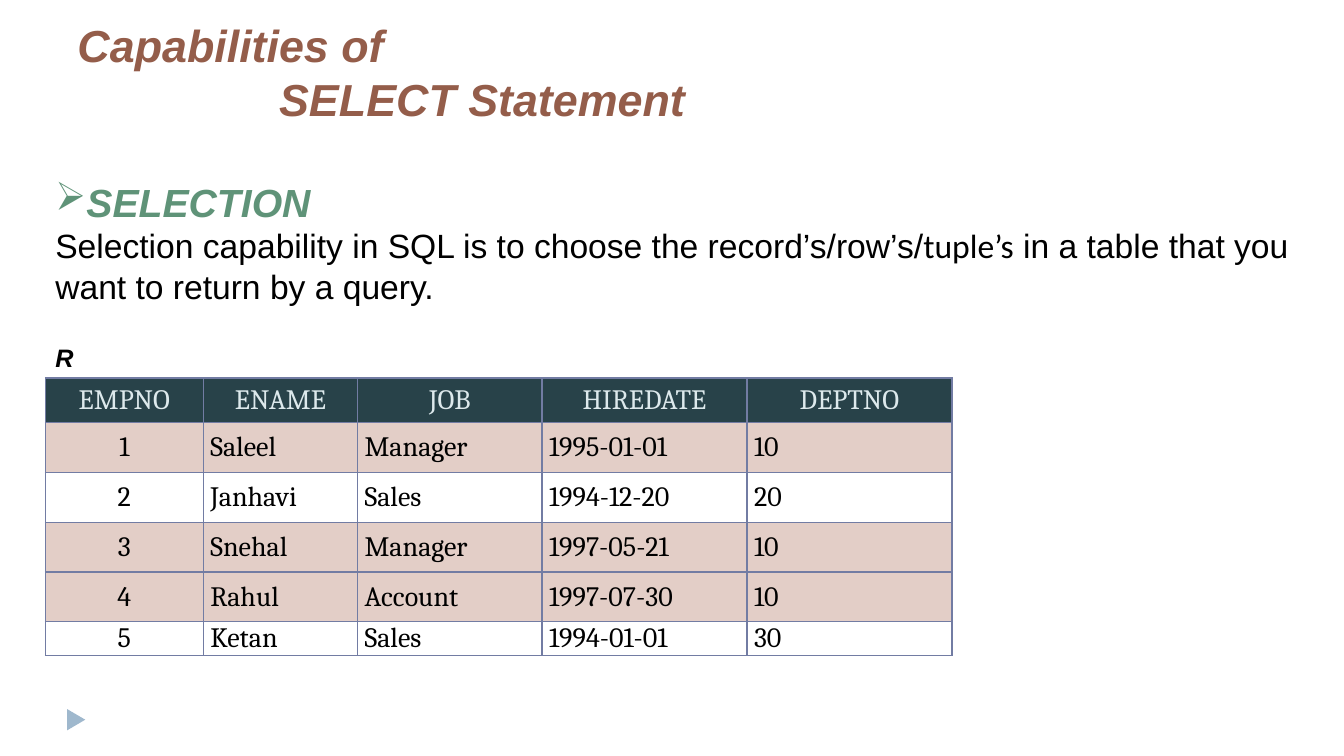
"""Build a slide that explains the selection capability of the SQL SELECT statement."""
from lxml import etree
from pptx import Presentation
from pptx.dml.color import RGBColor
from pptx.enum.shapes import MSO_SHAPE
from pptx.enum.text import MSO_ANCHOR, PP_ALIGN
from pptx.oxml import parse_xml
from pptx.oxml.ns import nsdecls, qn
from pptx.util import Inches, Pt

CENTER, LEFT = PP_ALIGN.CENTER, PP_ALIGN.LEFT
MIDDLE, TOP, BOTTOM = MSO_ANCHOR.MIDDLE, MSO_ANCHOR.TOP, MSO_ANCHOR.BOTTOM
TRIANGLE = MSO_SHAPE.ISOSCELES_TRIANGLE

THEME = {
    "title": ("Arial", 32, "945D4A", True),
    "heading": ("Arial", 28, "5F9378", True),
    "body": ("Arial", 24, "000000", False),
    "term": ("Calibri", 24, "000000", False),
    "label": ("Arial", 18, "000000", True),
    "header": ("Cambria", 20, "DDE9EC", False),
    "cell": ("Cambria", 20, "000000", False),
    "bullet font": "Wingdings",
    "header fill": "284249",
    "match fill": "E3CEC7",
    "border": "727CA3",
    "marker": "9FB8CD",
}

prs = Presentation()
prs.slide_width, prs.slide_height = Inches(13.33), Inches(7.5)
COL, ROW = prs.slide_width / 100, prs.slide_height / 100
s = prs.slides.add_slide(prs.slide_layouts[6])


def style(p, name):
    """Apply a type style from the theme to every run of a paragraph."""
    for r in p.runs:
        r.font.name, size, color, accent = THEME[name]
        r.font.size = Pt(size)
        r.font.color.rgb = RGBColor.from_string(color)
        r.font.bold = r.font.italic = accent


def text_box(left, top, width, height, text, name, anchor=TOP):
    """Add a text box placed in hundredths of the slide's width and height."""
    sp = s.shapes.add_textbox(int(left * COL), int(top * ROW), int(width * COL), int(height * ROW))
    tf = sp.text_frame
    tf.word_wrap = True
    tf.vertical_anchor = anchor
    tf.text = text
    for p in tf.paragraphs:
        style(p, name)
    return tf


marker = s.shapes.add_shape(TRIANGLE, int(4.88 * COL), int(94 * ROW), int(1.58 * COL), int(2.4 * ROW))
marker.rotation = 90
marker.shadow.inherit = False
marker.fill.solid()
marker.fill.fore_color.rgb = RGBColor.from_string(THEME["marker"])
marker.line.fill.background()

tf = text_box(3.38, 16.67, 93.32, 24.67, "SELECTION", "heading")
p = tf.paragraphs[0]
p.line_spacing = 2.0
pPr = p._p.get_or_add_pPr()
pPr.set("marL", "0")
pPr.set("indent", str(Inches(-0.19)))
color = etree.SubElement(etree.SubElement(pPr, qn("a:buClr")), qn("a:srgbClr"))
color.set("val", THEME["heading"][2])
font = etree.SubElement(pPr, qn("a:buFont"))
font.set("typeface", THEME["bullet font"])
font.set("charset", "2")
etree.SubElement(pPr, qn("a:buChar")).set("char", "Ø")

p = tf.add_paragraph()
for text in (
    "Selection capability in SQL is to choose the record’s/row’s/",
    "tuple’s",
    " in a table that you want to return by a query.",
):
    p.add_run().text = text
style(p, "body")
p.runs[1].font.name = THEME["term"][0]

tf = text_box(5.03, 3.87, 90, 13.33, "Capabilities of\nSELECT Statement", "title", BOTTOM)
tf.paragraphs[1]._p.get_or_add_pPr().set("marL", str(Inches(2)))

text_box(3.38, 44.67, 3.23, 5.33, "R", "label")

employees = [
    ("EMPNO", "ENAME", "JOB", "HIREDATE", "DEPTNO"),
    ("1", "Saleel", "Manager", "1995-01-01", "10"),
    ("2", "Janhavi", "Sales", "1994-12-20", "20"),
    ("3", "Snehal", "Manager", "1997-05-21", "10"),
    ("4", "Rahul", "Account", "1997-07-30", "10"),
    ("5", "Ketan", "Sales", "1994-01-01", "30"),
]
widths = [11.75, 11.48, 13.73, 15.25, 15.25]
heights = [5.87] + [6.6] * 4 + [4.4]
table = s.shapes.add_table(
    len(heights), len(widths), int(3.38 * COL), int(50 * ROW),
    int(sum(widths) * COL), int(sum(heights) * ROW),
).table
table.first_row = table.horz_banding = False
for column, width in zip(table.columns, widths):
    column.width = int(width * COL)

for i, (record, height) in enumerate(zip(employees, heights)):
    table.rows[i].height = int(height * ROW)
    header = i == 0
    matched = record[-1] == "10"
    for j, value in enumerate(record):
        cell = table.cell(i, j)
        cell.vertical_anchor = MIDDLE
        cell.margin_left = cell.margin_right = Inches(0.07)
        cell.margin_top = cell.margin_bottom = 0
        if header or matched:
            cell.fill.solid()
            cell.fill.fore_color.rgb = RGBColor.from_string(THEME["header fill" if header else "match fill"])
        else:
            cell.fill.background()
        cell.text_frame.text = value
        p = cell.text_frame.paragraphs[0]
        p.alignment = CENTER if header or j == 0 else LEFT
        style(p, "header" if header else "cell")
        for k, side in enumerate(("lnL", "lnR", "lnT", "lnB")):
            cell._tc.get_or_add_tcPr().insert(k, parse_xml(
                f'<a:{side} {nsdecls("a")} w="{Pt(1)}"><a:solidFill>'
                f'<a:srgbClr val="{THEME["border"]}"/></a:solidFill></a:{side}>'
            ))

prs.save("out.pptx")
